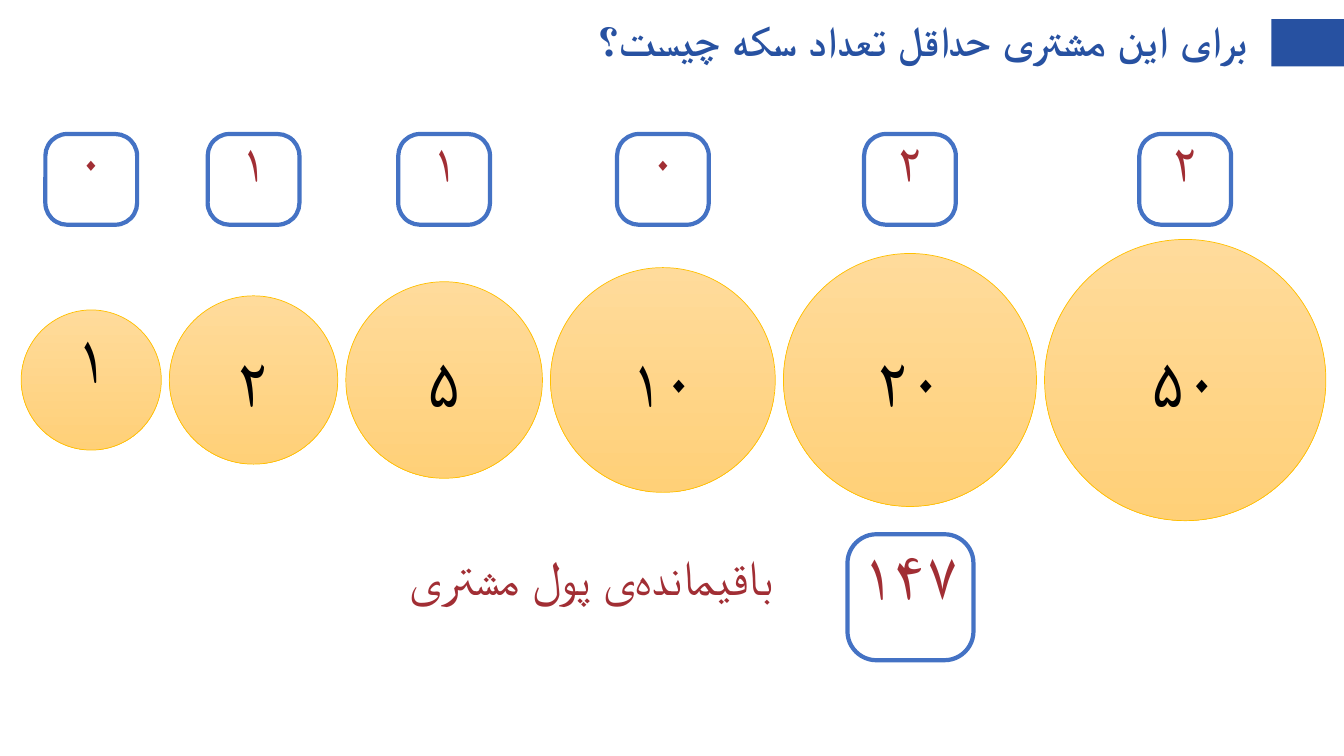
from dataclasses import dataclass
from typing import Optional

from lxml.etree import SubElement
from pptx import Presentation
from pptx.dml.color import RGBColor
from pptx.enum.shapes import MSO_SHAPE
from pptx.enum.text import MSO_ANCHOR, PP_ALIGN
from pptx.oxml.ns import qn
from pptx.shapes.autoshape import Shape
from pptx.slide import Slide
from pptx.util import Inches, Pt

COLORS = {
    "title": "2751A1",
    "red": "A12E34",
    "black": "000000",
    "white": "FFFFFF",
    "frame": "4472C4",
    "coin_edge": "FFC000",
    "coin_top": "FFDB9B",
    "coin_bottom": "FFD078",
}

COIN_LEFT = 0.21
COIN_GAP = 0.08
COIN_MIDDLE = 3.77
SMALLEST_COIN = 1.39
COIN_STEP = 0.28

# Persian half-space between a word and its suffix
HALF_SPACE = chr(0x200C)


@dataclass
class Coin:
    value: str
    count: str
    spacing: float = 1.0


@dataclass
class TextStyle:
    size: float
    color: str
    font: str = "Lato"
    bold: bool = False
    align: PP_ALIGN = PP_ALIGN.CENTER
    anchor: MSO_ANCHOR = MSO_ANCHOR.MIDDLE
    spacing: Optional[float] = None
    inset: float = 0.05


# Coins from smallest to largest, with the number used of each
COINS = [
    Coin("۱", "۰", spacing=0.1),
    Coin("۲", "۱"),
    Coin("۵", "۱"),
    Coin("۱۰", "۰"),
    Coin("۲۰", "۲"),
    Coin("۵۰", "۲"),
]


def color(name: str) -> RGBColor:
    return RGBColor.from_string(COLORS[name])


def write(box: Shape, text: str, style: TextStyle) -> None:
    """Put one right-to-left paragraph in a box."""
    frame = box.text_frame
    frame.word_wrap = True
    frame.vertical_anchor = style.anchor
    frame.margin_left = frame.margin_right = Inches(style.inset)
    frame.margin_top = frame.margin_bottom = Inches(style.inset)
    para = frame.paragraphs[0]
    para.text = text
    para.alignment = style.align
    para.line_spacing = style.spacing
    properties = para._p.get_or_add_pPr()
    properties.set("rtl", "1")
    font = para.font
    font.size = Pt(style.size)
    font.bold = style.bold
    font.name = style.font
    font.color.rgb = color(style.color)
    # Persian letters use the complex-script typeface
    SubElement(properties.find(qn("a:defRPr")), qn("a:cs"), typeface=style.font)


def add_text(page: Slide, left: float, top: float, width: float, height: float,
             text: str, style: TextStyle) -> None:
    box = page.shapes.add_textbox(Inches(left), Inches(top), Inches(width), Inches(height))
    write(box, text, style)


def add_counter(page: Slide, center: float, top: float, width: float, height: float,
                rounding: float, text: str, size: float) -> None:
    box = page.shapes.add_shape(MSO_SHAPE.ROUNDED_RECTANGLE, Inches(center - width / 2),
                                Inches(top), Inches(width), Inches(height))
    box.shadow.inherit = False
    box.adjustments[0] = rounding
    box.fill.solid()
    box.fill.fore_color.rgb = color("white")
    box.line.color.rgb = color("frame")
    box.line.width = Pt(3)
    write(box, text, TextStyle(size, "red", spacing=0.1, inset=0))


def add_coin(page: Slide, left: float, diameter: float, coin: Coin) -> None:
    disc = page.shapes.add_shape(MSO_SHAPE.OVAL, Inches(left),
                                 Inches(COIN_MIDDLE - diameter / 2),
                                 Inches(diameter), Inches(diameter))
    disc.shadow.inherit = False
    disc.fill.gradient()
    disc.fill.gradient_angle = 270
    for stop, name, position in zip(disc.fill.gradient_stops, ("coin_top", "coin_bottom"), (0, 1)):
        stop.color.rgb = color(name)
        stop.position = position
    disc.line.color.rgb = color("coin_edge")
    disc.line.width = Pt(0.5)
    write(disc, coin.value, TextStyle(48, "black", spacing=coin.spacing))


def main() -> None:
    deck = Presentation()
    deck.slide_width = Inches(13.33)
    deck.slide_height = Inches(7.5)
    page = deck.slides.add_slide(deck.slide_layouts[6])

    # Title with its marker
    marker = page.shapes.add_shape(MSO_SHAPE.RECTANGLE, Inches(12.61), Inches(0.19),
                                   Inches(0.72), Inches(0.47))
    marker.shadow.inherit = False
    marker.fill.solid()
    marker.fill.fore_color.rgb = color("title")
    marker.line.fill.background()
    add_text(page, 0.92, 0.05, 11.5, 0.75, "برای این مشتری حداقل تعداد سکه چیست؟",
             TextStyle(30.1, "title", font="Arial", bold=True,
                       align=PP_ALIGN.RIGHT, spacing=0.9))

    # Row of coins, each with its counter above
    left = COIN_LEFT
    for index, coin in enumerate(COINS):
        diameter = SMALLEST_COIN + COIN_STEP * index
        add_counter(page, left + diameter / 2, 1.33, 0.91, 0.9, 0.24, coin.count, 37)
        add_coin(page, left, diameter, coin)
        left += diameter + COIN_GAP

    # Money left
    add_text(page, 3.47, 5.44, 4.79, 0.97, HALF_SPACE.join(["باقیمانده", "ی پول مشتری"]),
             TextStyle(35, "red", anchor=MSO_ANCHOR.TOP, spacing=0.9))
    add_counter(page, 9.03, 5.3, 1.25, 1.25, 0.23, "۱۴۷", 47)

    deck.save("out.pptx")


if __name__ == "__main__":
    main()
